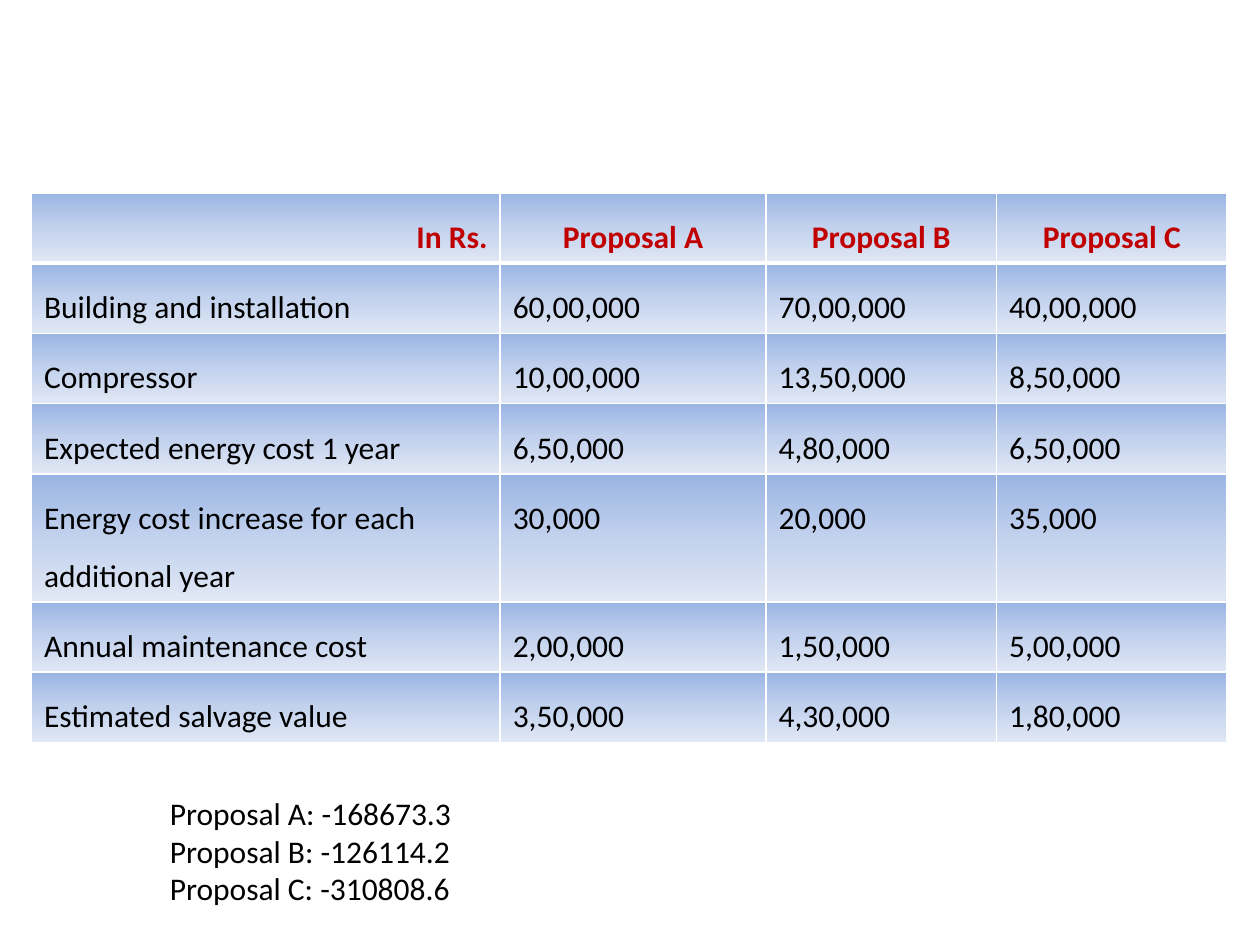
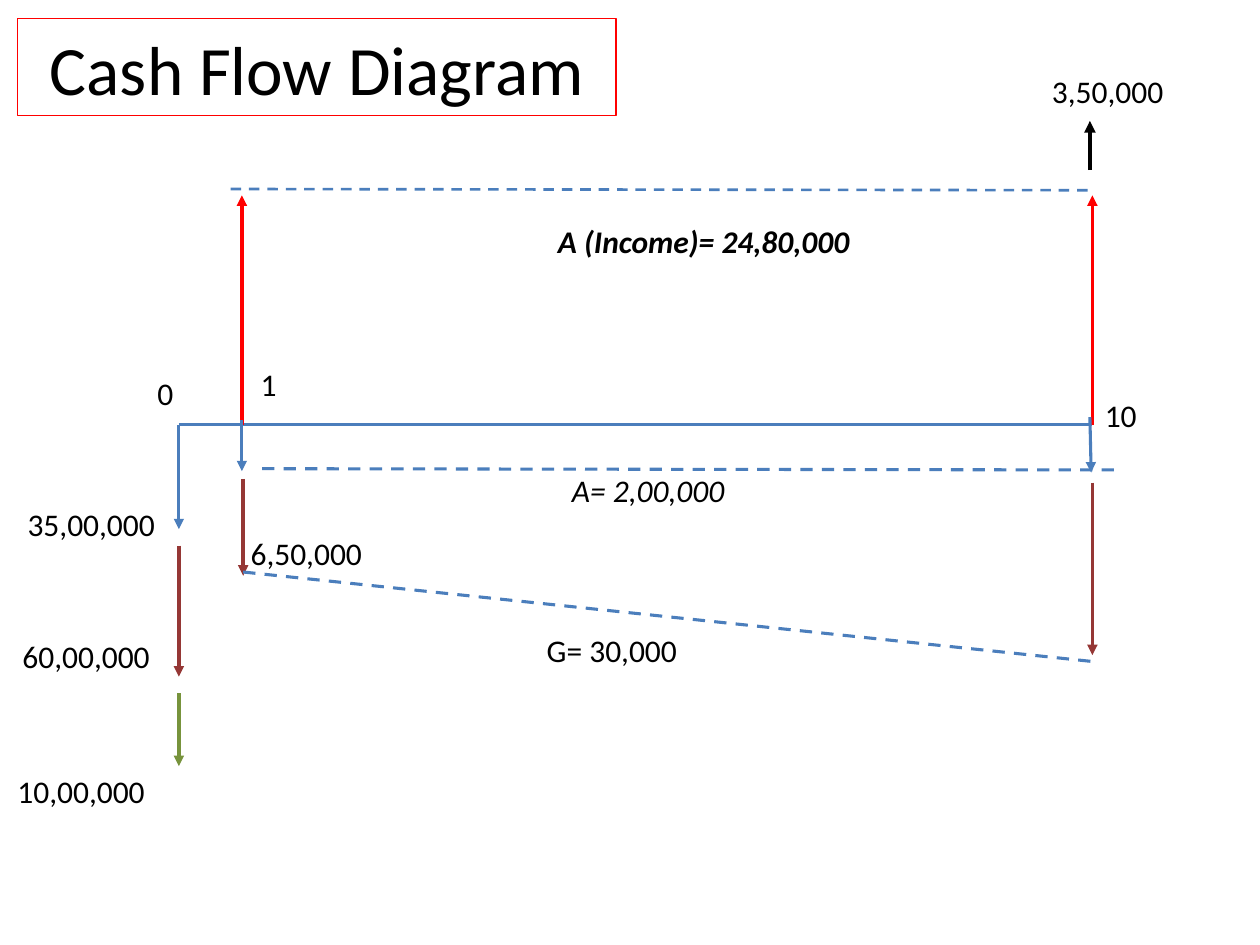
from lxml.etree import SubElement
from pptx import Presentation
from pptx.dml.color import RGBColor
from pptx.enum.dml import MSO_LINE
from pptx.enum.shapes import MSO_CONNECTOR, MSO_SHAPE
from pptx.enum.text import MSO_ANCHOR, PP_ALIGN
from pptx.oxml.ns import qn
from pptx.util import Inches, Pt

BLACK, WHITE, RED = "000000", "FFFFFF", "FF0000"
HEADING, BLUE, MAROON, GREEN = "C00000", "4B7EBC", "953735", "77933C"
CELL_GRADIENT = [(0, "9AB5E4"), (50, "C2D1ED"), (100, "E1E8F5")]

COSTS = [
    ("In Rs.", "Proposal A", "Proposal B", "Proposal C"),
    ("Building and installation", "60,00,000", "70,00,000", "40,00,000"),
    ("Compressor", "10,00,000", "13,50,000", "8,50,000"),
    ("Expected energy cost 1 year", "6,50,000", "4,80,000", "6,50,000"),
    ("Energy cost increase for each additional year", "30,000", "20,000", "35,000"),
    ("Annual maintenance cost", "2,00,000", "1,50,000", "5,00,000"),
    ("Estimated salvage value", "3,50,000", "4,30,000", "1,80,000"),
]
COST_WIDTHS = [3.72, 2.11, 1.83, 1.83]
COST_HEIGHTS = [0.55, 0.55, 0.55, 0.55, 1.0, 0.55, 0.55]

START, FIRST, LAST, AXIS = 1.42, 1.92, 8.67, 3.37


def colour(value):
    """Turn a hex string into a colour."""
    return RGBColor.from_string(value)


class SlideBuilder:
    """Hold the text style and the current slide."""

    def __init__(self, deck, font="Calibri", size=18):
        """Remember the deck and the default text style."""
        self.deck, self.font, self.size = deck, font, size
        self.page = None

    def new_page(self):
        """Start a blank slide."""
        self.page = self.deck.slides.add_slide(self.deck.slide_layouts[6])

    def span(self, para, text, size=None, ink=BLACK, bold=False, italic=False):
        """Add one styled run to a paragraph."""
        span = para.add_run()
        span.text = text
        span.font.name = self.font
        span.font.size = Pt(size or self.size)
        span.font.color.rgb = colour(ink)
        span.font.bold, span.font.italic = bold, italic

    def text(self, left, top, width, lines, height=0.4, **style):
        """Add a text box with one paragraph for each line."""
        box = self.page.shapes.add_textbox(
            Inches(left), Inches(top), Inches(width), Inches(height))
        frame = box.text_frame
        frame.word_wrap = True
        for index, line in enumerate(lines):
            para = frame.add_paragraph() if index else frame.paragraphs[0]
            self.span(para, line, **style)

    def title(self, text):
        """Add the outlined slide title."""
        box = self.page.shapes.add_shape(
            MSO_SHAPE.RECTANGLE, Inches(0.14), Inches(0.15), Inches(4.75), Inches(0.77))
        box.shadow.inherit = False
        box.fill.background()
        box.line.color.rgb = colour(RED)
        box.line.width = Pt(0.75)
        box.text_frame.word_wrap = True
        box.text_frame.vertical_anchor = MSO_ANCHOR.MIDDLE
        para = box.text_frame.paragraphs[0]
        para.alignment = PP_ALIGN.CENTER
        self.span(para, text, size=39.6)

    def line(self, start, end, ink=BLUE, width=1.75, dashed=False):
        """Add a straight line."""
        line = self.page.shapes.add_connector(
            MSO_CONNECTOR.STRAIGHT, *map(Inches, start + end))
        line.line.color.rgb = colour(ink)
        line.line.width = Pt(width)
        if dashed:
            line.line.dash_style = MSO_LINE.DASH
        SubElement(line._element.spPr, qn("a:effectLst"))
        return line

    def arrow(self, start, end, ink=BLUE, width=1.75):
        """Add a line with a triangular head at its end."""
        arrow = self.line(start, end, ink, width)
        SubElement(arrow.line._get_or_add_ln(), qn("a:tailEnd"), type="triangle")

    def paint_cell(self, cell, bottom):
        """Give a cell white borders and the gradient fill."""
        properties = cell._tc.get_or_add_tcPr()
        for side, width in (("L", 1), ("R", 1), ("T", 1), ("B", bottom)):
            border = SubElement(properties, qn(f"a:ln{side}"), w=str(Pt(width)))
            fill = SubElement(border, qn("a:solidFill"))
            SubElement(fill, qn("a:srgbClr"), val=WHITE)
        gradient = SubElement(properties, qn("a:gradFill"), rotWithShape="1")
        stops = SubElement(gradient, qn("a:gsLst"))
        for percent, value in CELL_GRADIENT:
            stop = SubElement(stops, qn("a:gs"), pos=str(percent * 1000))
            SubElement(stop, qn("a:srgbClr"), val=value)
        SubElement(gradient, qn("a:lin"), ang="5400000", scaled="0")

    def table(self, left, top, rows, widths, heights):
        """Add a table whose first row is the heading."""
        table = self.page.shapes.add_table(
            len(rows), len(widths), Inches(left), Inches(top),
            Inches(sum(widths)), Inches(sum(heights))).table
        table.first_row = table.horz_banding = False
        for column, width in zip(table.columns, widths):
            column.width = Inches(width)
        for row, (values, height) in enumerate(zip(rows, heights)):
            table.rows[row].height = Inches(height)
            heading = row == 0
            for column, value in enumerate(values):
                cell = table.cell(row, column)
                para = cell.text_frame.paragraphs[0]
                para.line_spacing = 1.5
                if heading:
                    para.alignment = PP_ALIGN.CENTER if column else PP_ALIGN.RIGHT
                self.span(para, value, ink=HEADING if heading else BLACK, bold=heading)
                self.paint_cell(cell, bottom=3 if heading else 1)


def build_costs(slide):
    """Compare the costs of the proposals."""
    slide.new_page()
    slide.table(0.25, 1.53, COSTS, COST_WIDTHS, COST_HEIGHTS)
    results = {"A": "-168673.3", "B": "-126114.2", "C": "-310808.6"}
    slide.text(1.25, 6.25, 2.6, [f"Proposal {name}: {value}" for name, value in results.items()],
               height=1.01)


def build_cash_flow(slide):
    """Draw the cash flows over the ten years."""
    slide.new_page()
    slide.title("Cash Flow Diagram")
    slide.line((START, AXIS), (LAST, AXIS), width=2)
    slide.arrow((START, AXIS), (START, 4.2))
    slide.arrow((START, 4.33), (START, 5.37), MAROON, 2)
    slide.arrow((START, 5.5), (START, 6.08), GREEN, 2)
    for year in (FIRST, LAST):
        slide.arrow((year, AXIS), (year, 1.55), RED, 2)
    slide.arrow((FIRST, 3.33), (FIRST, 3.74))
    slide.arrow((8.65, 3.31), (8.66, 3.75))
    slide.arrow((1.93, 3.8), (1.93, 4.57), MAROON, 2)
    slide.arrow((LAST, 3.83), (LAST, 5.2), MAROON, 2)
    slide.arrow((8.65, 1.35), (8.65, 0.96), BLACK, 2.25)

    slide.line((1.83, 1.5), (LAST, 1.51), width=1.5, dashed=True)
    slide.line((2.08, 3.72), (8.91, 3.73), dashed=True)
    slide.line((1.93, 4.54), (LAST, 5.25), dashed=True)

    for left, top, width, label in (
        (0.12, 3.96, 1.25, "35,00,000"),
        (0.08, 5.01, 1.5, "60,00,000"),
        (0.04, 6.08, 1.5, "10,00,000"),
        (1.15, 2.92, 0.42, "0"),
        (1.97, 2.85, 0.42, "1"),
        (8.67, 3.09, 0.5, "10"),
        (1.89, 4.19, 1.25, "6,50,000"),
        (4.24, 4.96, 1.25, "G= 30,000"),
        (8.25, 0.52, 1.25, "3,50,000"),
    ):
        slide.text(left, top, width, [label])
    slide.text(4.33, 1.71, 2.67, ["A (Income)= 24,80,000"], bold=True, italic=True)
    slide.text(4.44, 3.69, 1.75, ["A= 2,00,000"], italic=True)


def main():
    """Build and save the deck."""
    deck = Presentation()
    deck.slide_width, deck.slide_height = Inches(10), Inches(7.5)
    slide = SlideBuilder(deck)
    build_costs(slide)
    build_cash_flow(slide)
    deck.save("out.pptx")


if __name__ == "__main__":
    main()
